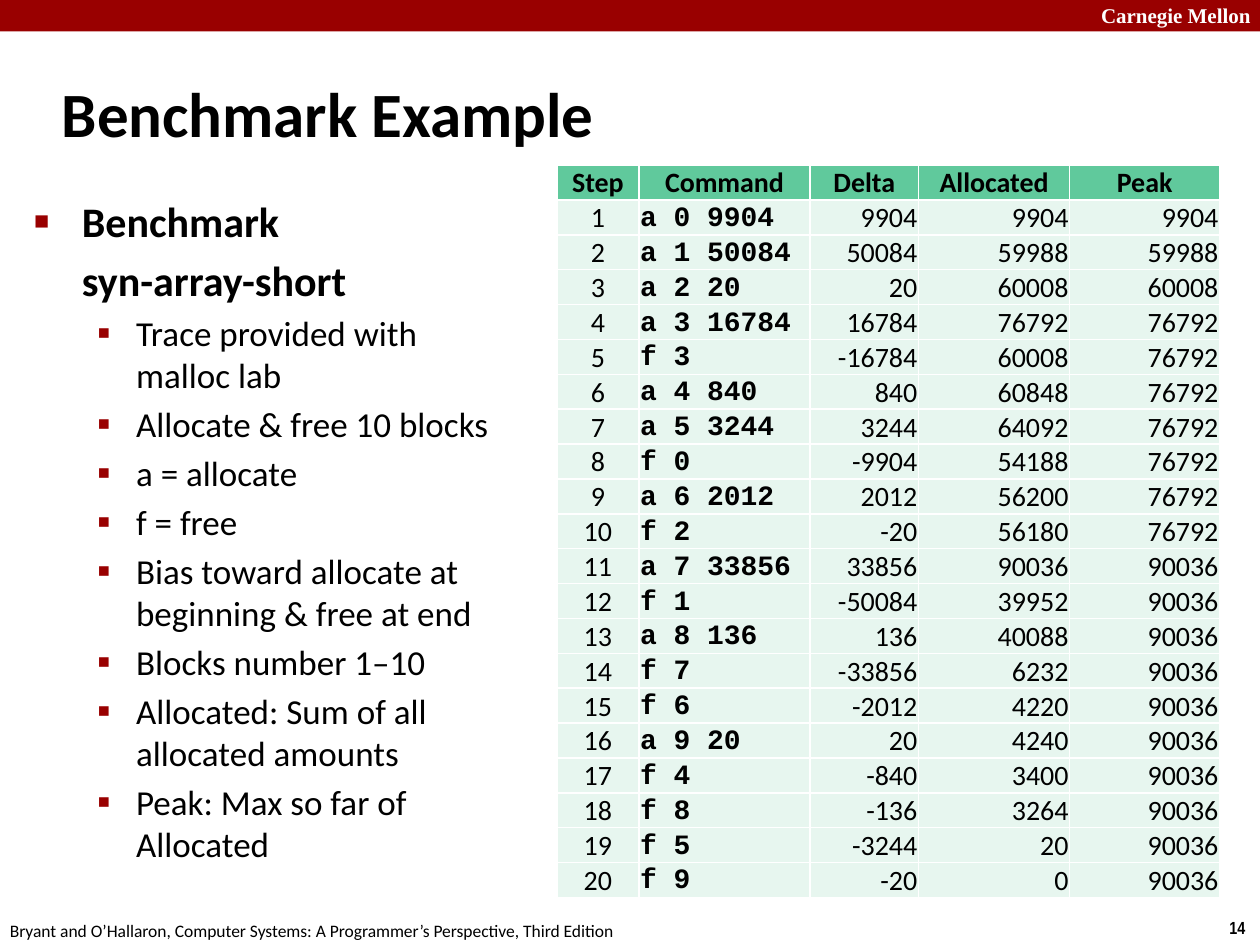
from itertools import accumulate
from lxml.etree import SubElement
from pptx import Presentation
from pptx.dml.color import RGBColor
from pptx.enum.shapes import MSO_SHAPE
from pptx.enum.text import MSO_ANCHOR, MSO_AUTO_SIZE, PP_ALIGN
from pptx.oxml.ns import qn
from pptx.util import Inches, Pt

WIDE, HIGH = 10, 7.5
COLORS = {"red": "990000", "white": "FFFFFF", "black": "000000",
          "head": "60C99C", "cell": "E7F6EF"}
SANS, MONO = "Calibri", "Courier New"

POINTS = [
    "Trace provided with malloc lab",
    "Allocate & free 10 blocks",
    "a = allocate",
    "f = free",
    "Bias toward allocate at beginning & free at end",
    "Blocks number 1–10",
    "Allocated: Sum of all allocated amounts",
    "Peak: Max so far of Allocated",
]
HEADS = ["Step", "Command", "Delta", "Allocated", "Peak"]
WIDTHS = [0.65, 1.36, 0.86, 1.2, 1.19]
ALIGNS = [PP_ALIGN.CENTER, PP_ALIGN.LEFT] + [PP_ALIGN.RIGHT] * 3
TRACE = [
    "a 0 9904", "a 1 50084", "a 2 20", "a 3 16784", "f 3",
    "a 4 840", "a 5 3244", "f 0", "a 6 2012", "f 2",
    "a 7 33856", "f 1", "a 8 136", "f 7", "f 6",
    "a 9 20", "f 4", "f 8", "f 5", "f 9",
]


def color(name):
    return RGBColor.from_string(COLORS[name])


def place(shape, left, top, width, height):
    shape.left, shape.top = Inches(left), Inches(top)
    shape.width, shape.height = Inches(width), Inches(height)


def style(para, size, face=SANS, bold=False, ink="black"):
    font = para.font
    font.size, font.name, font.bold = Pt(size), face, bold
    font.color.rgb = color(ink)


def add_label(slide, text, box, wrap=False, **look):
    frame = slide.shapes.add_textbox(*map(Inches, box)).text_frame
    frame.word_wrap = wrap
    para = frame.paragraphs[0]
    para.text = text
    style(para, **look)


def add_band(slide):
    band = slide.shapes.add_shape(
        MSO_SHAPE.RECTANGLE, 0, 0, Inches(WIDE), Inches(HIGH / 30))
    band.shadow.inherit = False
    band.fill.solid()
    band.fill.fore_color.rgb = color("red")
    band.line.fill.background()


def fill_title(title, text):
    place(title, 0.39, 0.48, 8.3, 0.83)
    frame = title.text_frame
    frame.vertical_anchor = MSO_ANCHOR.MIDDLE
    frame.auto_size = MSO_AUTO_SIZE.NONE
    para = frame.paragraphs[0]
    para.text = text
    para.alignment = PP_ALIGN.LEFT
    style(para, 36, bold=True)


def set_bullet(para, left, hang, mark=None, scale=100):
    """Indent a paragraph and give it a red mark, or none."""
    props = para._p.get_or_add_pPr()
    props.set("marL", str(Inches(left)))
    props.set("indent", str(-Inches(hang)))
    if not mark:
        SubElement(props, qn("a:buNone"))
        return
    tint = SubElement(props, qn("a:buClr"))
    SubElement(tint, qn("a:srgbClr"), val=COLORS["red"])
    SubElement(props, qn("a:buSzPct"), val=str(scale * 1000))
    SubElement(props, qn("a:buChar"), char=mark)


def fill_body(body):
    place(body, 0.17, 1.5, 3.9, 5.44)
    frame = body.text_frame
    frame.auto_size = MSO_AUTO_SIZE.NONE
    lines = [("Benchmark", 0, (0.38, 0.38, "■", 60)),
             ("syn-array-short", 0, (0.38, 0))]
    lines += [(text, 1, (0.81, 0.31, "▪", 110)) for text in POINTS]
    for i, (text, level, mark) in enumerate(lines):
        para = frame.add_paragraph() if i else frame.paragraphs[0]
        size = 20 if level else 24
        para.text, para.level = text, level
        para.space_before = Pt(size / 5 if i else 0)
        set_bullet(para, *mark)
        style(para, size, bold=not level)


def get_deltas():
    """Turn each command into the bytes it adds or frees."""
    sizes = {}
    for line in TRACE:
        kind, block, *size = line.split()
        if kind == "a":
            sizes[block] = int(size[0])
        yield sizes[block] if kind == "a" else -sizes[block]


def get_rows():
    deltas = list(get_deltas())
    sums = list(accumulate(deltas))
    steps = range(1, len(TRACE) + 1)
    return list(zip(steps, TRACE, deltas, sums, accumulate(sums, max)))


def set_borders(cell):
    props = cell._tc.get_or_add_tcPr()
    for i, side in enumerate(("lnL", "lnR", "lnT", "lnB")):
        line = props.makeelement(qn("a:" + side), {"w": str(Pt(1))})
        props.insert(i, line)
        paint = SubElement(line, qn("a:solidFill"))
        SubElement(paint, qn("a:srgbClr"), val=COLORS["white"])


def fill_cell(cell, text, align, fill, face, bold):
    cell.margin_left = cell.margin_right = cell.margin_top = Inches(0.01)
    cell.margin_bottom = 0
    cell.vertical_anchor = MSO_ANCHOR.BOTTOM
    cell.fill.solid()
    cell.fill.fore_color.rgb = color(fill)
    set_borders(cell)
    para = cell.text_frame.paragraphs[0]
    para.text, para.alignment = str(text), align
    style(para, 16, face, bold)


def add_grid(slide):
    rows = [HEADS] + get_rows()
    box = map(Inches, (4.42, 1.31, sum(WIDTHS), 5.82))
    table = slide.shapes.add_table(len(rows), len(HEADS), *box).table
    table.first_row = table.horz_banding = False
    for col, width in zip(table.columns, WIDTHS):
        col.width = Inches(width)
    for r, row in enumerate(rows):
        for c, text in enumerate(row):
            code = r > 0 and c == 1
            fill_cell(table.cell(r, c), text,
                      ALIGNS[c] if r else PP_ALIGN.CENTER,
                      "cell" if r else "head",
                      MONO if code else SANS, code or r == 0)


def main():
    deck = Presentation()
    deck.slide_width, deck.slide_height = Inches(WIDE), Inches(HIGH)
    slide = deck.slides.add_slide(deck.slide_layouts[1])
    add_band(slide)
    add_label(slide, "Carnegie Mellon", (8.64, -0.03, 1.43, 0.3), wrap=True,
              size=12, face="Times New Roman", bold=True, ink="white")
    add_label(slide, "14", (9.66, 7.23, 0.34, 0.27),
              size=10, face="Arial Narrow", bold=True)
    add_label(slide, "Bryant and O’Hallaron, Computer Systems: "
              "A Programmer’s Perspective, Third Edition",
              (-0.02, 7.25, 5.08, 0.27), size=10)
    fill_title(slide.shapes.title, "Benchmark Example")
    fill_body(slide.placeholders[1])
    add_grid(slide)
    deck.save("out.pptx")


if __name__ == "__main__":
    main()
